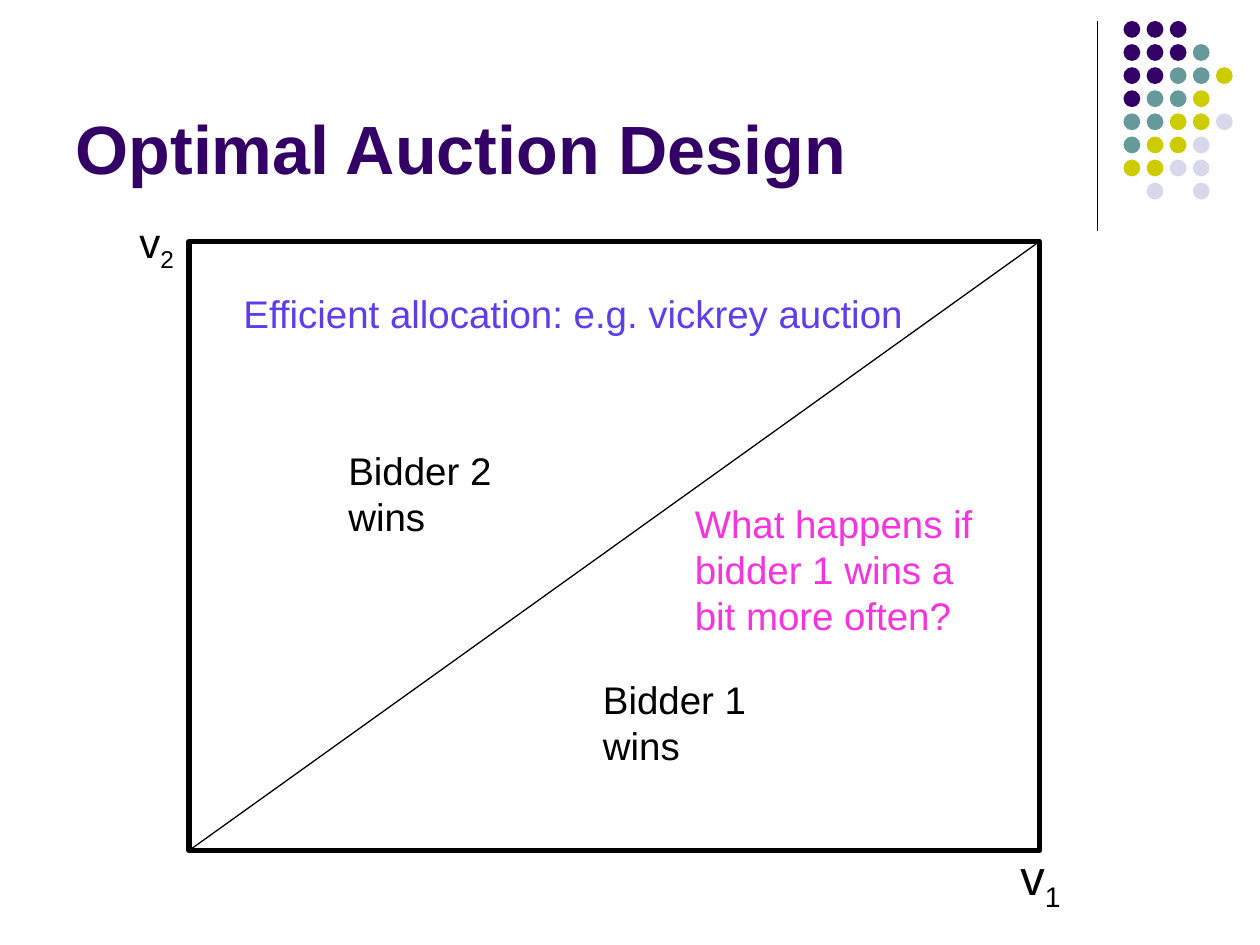
from dataclasses import dataclass

from lxml.etree import SubElement
from pptx import Presentation
from pptx.dml.color import RGBColor
from pptx.enum.shapes import MSO_CONNECTOR, MSO_SHAPE
from pptx.enum.text import MSO_ANCHOR, MSO_AUTO_SIZE, PP_ALIGN
from pptx.oxml.ns import qn
from pptx.util import Inches, Pt

COLUMNS, ROWS = 120, 90  # grid of the whole slide
CELL = Inches(10) / COLUMNS


@dataclass(frozen=True)
class Theme:
    font: str = "Arial"
    ink: str = "000000"
    purple: str = "330066"
    teal: str = "669999"
    olive: str = "CCCC00"
    mist: str = "D8D8EC"
    blue: str = "5F3EEA"
    pink: str = "F434DD"
    title_size: int = 39
    note_size: int = 22
    note_leading: float = 26.4
    thin: float = 0.75
    thick: float = 3


THEME = Theme()


@dataclass(frozen=True)
class Box:
    """An area in grid columns and rows."""
    left: float
    top: float
    width: float
    height: float

    def inner(self, column, row, width, height):
        return Box(self.left + column, self.top + row, width, height)

    def lengths(self):
        return [round(value * CELL)
                for value in (self.left, self.top, self.width, self.height)]


def color(code):
    return RGBColor.from_string(code)


def set_font(paragraph, size, code, bold=False):
    paragraph.font.name = THEME.font
    paragraph.font.size = Pt(size)
    paragraph.font.bold = bold
    paragraph.font.color.rgb = color(code)


def add_line(slide, start, end):
    points = [round(value * CELL) for value in (*start, *end)]
    connector = slide.shapes.add_connector(MSO_CONNECTOR.STRAIGHT, *points)
    connector.line.color.rgb = color(THEME.ink)
    connector.line.width = Pt(THEME.thin)
    SubElement(connector._element.spPr, qn("a:effectLst"))


def add_text_frame(slide, box, wrap):
    frame = slide.shapes.add_textbox(*box.lengths()).text_frame
    frame.word_wrap = wrap
    frame.auto_size = MSO_AUTO_SIZE.SHAPE_TO_FIT_TEXT
    return frame


def add_note(slide, box, lines, code=THEME.ink):
    frame = add_text_frame(slide, box, True)
    frame.text = "\n".join(lines)
    for paragraph in frame.paragraphs:
        set_font(paragraph, THEME.note_size, code)
        paragraph.line_spacing = Pt(THEME.note_leading)


def add_axis_label(slide, box, index, size):
    paragraph = add_text_frame(slide, box, False).paragraphs[0]
    set_font(paragraph, size, THEME.ink)
    paragraph.add_run().text = "v"
    subscript = paragraph.add_run()
    subscript.text = index
    subscript._r.get_or_add_rPr().set("baseline", "-25000")


def build_ornament(slide, box):
    """Vertical rule with a pattern of dots to its right."""
    add_line(slide, (box.left, box.top), (box.left, box.top + box.height))
    fills = {"P": THEME.purple, "T": THEME.teal,
             "O": THEME.olive, "M": THEME.mist}
    pattern = ("PPP", "PPPT", "PPTTO", "PTTO", "TTOOM", "TOOM", "OOMM", ".M.M")
    offset, pitch, diameter = 2.5, 2.2, 1.6
    group = slide.shapes.add_group_shape()
    for row, letters in enumerate(pattern):
        for column, letter in enumerate(letters):
            if letter not in fills:
                continue
            area = box.inner(offset + column * pitch, row * pitch,
                             diameter, diameter)
            dot = group.shapes.add_shape(MSO_SHAPE.OVAL, *area.lengths())
            dot.shadow.inherit = False
            dot.fill.solid()
            dot.fill.fore_color.rgb = color(fills[letter])
            dot.line.fill.background()


def build_title(slide, box, text):
    title = slide.shapes.title
    title.left, title.top, title.width, title.height = box.lengths()
    frame = title.text_frame
    frame.text = text
    frame.vertical_anchor = MSO_ANCHOR.BOTTOM
    frame.auto_size = MSO_AUTO_SIZE.NONE
    paragraph = frame.paragraphs[0]
    paragraph.alignment = PP_ALIGN.LEFT
    set_font(paragraph, THEME.title_size, THEME.purple, bold=True)


def build_allocation_chart(slide, box):
    """Rectangle of valuations, split where both bidders value alike."""
    frame = slide.shapes.add_shape(MSO_SHAPE.RECTANGLE, *box.lengths())
    frame.shadow.inherit = False
    frame.fill.background()
    frame.line.color.rgb = color(THEME.ink)
    frame.line.width = Pt(THEME.thick)

    # Axis labels
    add_axis_label(slide, box.inner(78, 57, 6.25, 7.5), "1", 28)
    add_axis_label(slide, box.inner(-5.9, -3, 5.7, 6.7), "2", 24)

    # Diagonal
    add_line(slide, (box.left, box.top + box.height),
             (box.left + box.width, box.top))

    # Regions and remarks
    add_note(slide, box.inner(38.25, 40.8, 20.75, 10), ["Bidder 1 wins"])
    add_note(slide, box.inner(14, 19, 20.75, 10), ["Bidder 2 wins"])
    add_note(slide, box.inner(4, 4, 68, 5.6),
             ["Efficient allocation: e.g. vickrey auction"], THEME.blue)
    add_note(slide, box.inner(47, 24, 31, 14.4),
             ["What happens if", "bidder 1 wins a", "bit more often?"],
             THEME.pink)


def main():
    presentation = Presentation()
    presentation.slide_width = round(COLUMNS * CELL)
    presentation.slide_height = round(ROWS * CELL)
    title_only = presentation.slide_layouts[5]
    slide = presentation.slides.add_slide(title_only)
    build_ornament(slide, Box(104.5, 2, 13, 20))
    build_title(slide, Box(6, 1.5, 99, 17), "Optimal Auction Design")
    build_allocation_chart(slide, Box(18, 23, 81, 58))
    presentation.save("out.pptx")


if __name__ == "__main__":
    main()
